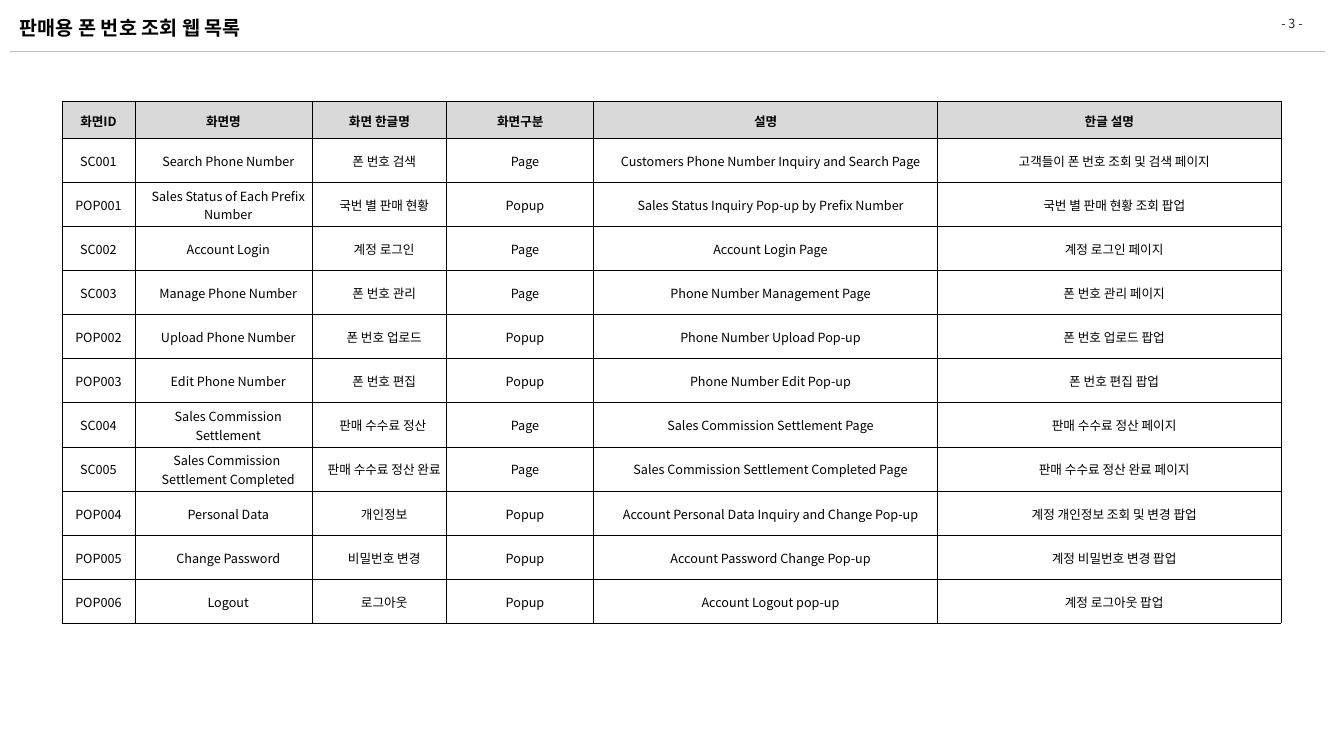
from lxml import etree
from pptx import Presentation
from pptx import util as u
from pptx.dml.color import RGBColor
from pptx.enum import shapes, text
from pptx.oxml import ns

Cm = u.Cm
FONT = "Noto Sans CJK KR"
COLORS = {
    "text": "000000",
    "page": "262626",
    "rule": "BFBFBF",
    "header": "D9D9D9",
    "border": "000000",
}
FORMATS = {
    "title": {"size": u.Pt(14), "bold": True},
    "page": {"size": u.Pt(9), "bold": False},
    "header": {"size": u.Pt(9), "bold": True},
    "body": {"size": u.Pt(9), "bold": False},
}
CELL_LAYOUT = {
    "margin_left": Cm(0.03),
    "margin_right": Cm(0.03),
    "margin_top": Cm(0.03),
    "margin_bottom": 0,
    "vertical_anchor": text.MSO_ANCHOR.MIDDLE,
}
COLUMN_WIDTHS = [1.84, 4.46, 3.4, 3.7, 8.67, 8.65]
HEADER_HEIGHT, ROW_HEIGHT = 0.93, 1.11
BODY_INDENT = Cm(0.24)

HEADINGS = ["화면ID", "화면명", "화면 한글명", "화면구분", "설명", "한글 설명"]
SCREENS = [
    ["SC001", "Search Phone Number", "폰 번호 검색", "Page",
     "Customers Phone Number Inquiry and Search Page", "고객들이 폰 번호 조회 및 검색 페이지"],
    ["POP001", "Sales Status of Each Prefix Number", "국번 별 판매 현황", "Popup",
     "Sales Status Inquiry Pop-up by Prefix Number", "국번 별 판매 현황 조회 팝업"],
    ["SC002", "Account Login", "계정 로그인", "Page",
     "Account Login Page", "계정 로그인 페이지"],
    ["SC003", "Manage Phone Number", "폰 번호 관리", "Page",
     "Phone Number Management Page", "폰 번호 관리 페이지"],
    ["POP002", "Upload Phone Number", "폰 번호 업로드", "Popup",
     "Phone Number Upload Pop-up", "폰 번호 업로드 팝업"],
    ["POP003", "Edit Phone Number", "폰 번호 편집", "Popup",
     "Phone Number Edit Pop-up", "폰 번호 편집 팝업"],
    ["SC004", "Sales Commission Settlement", "판매 수수료 정산 ", "Page",
     "Sales Commission Settlement Page", "판매 수수료 정산 페이지"],
    ["SC005", "Sales Commission \nSettlement Completed", "판매 수수료 정산 완료", "Page",
     "Sales Commission Settlement Completed Page", "판매 수수료 정산 완료 페이지"],
    ["POP004", "Personal Data", "개인정보", "Popup",
     "Account Personal Data Inquiry and Change Pop-up", "계정 개인정보 조회 및 변경 팝업"],
    ["POP005", "Change Password", "비밀번호 변경", "Popup",
     "Account Password Change Pop-up", "계정 비밀번호 변경 팝업"],
    ["POP006", "Logout", "로그아웃", "Popup",
     "Account Logout pop-up", "계정 로그아웃 팝업"],
]


def rgb(key):
    return RGBColor.from_string(COLORS[key])


def write(frame, words, style, align, color="text", indent=0):
    frame.text = words
    for paragraph in frame.paragraphs:
        paragraph.alignment = align
        if indent:
            paragraph._p.get_or_add_pPr().set("marL", str(int(indent)))
        for run in paragraph.runs:
            for attribute, value in FORMATS[style].items():
                setattr(run.font, attribute, value)
            run.font.name = FONT
            run.font.color.rgb = rgb(color)
            # Korean letters take the East Asian font
            east_asian = etree.SubElement(run.font._element, ns.qn("a:ea"))
            east_asian.set("typeface", FONT)


def add_label(slide, box, words, style, align, color="text"):
    frame = slide.shapes.add_textbox(*map(Cm, box)).text_frame
    frame.word_wrap = True
    frame.vertical_anchor = text.MSO_ANCHOR.MIDDLE
    write(frame, words, style, align, color)


def add_page_header(slide, left, top, width, height):
    # Title and page number
    add_label(slide, (left, top, 22, height), "판매용 폰 번호 조회 웹 목록",
              "title", text.PP_ALIGN.LEFT)
    add_label(slide, (left + width - 1.93, top + 0.13, 2.18, 0.71), "- 3 -",
              "page", text.PP_ALIGN.CENTER, "page")

    # Rule under the title
    bottom = Cm(top + height)
    rule = slide.shapes.add_connector(
        shapes.MSO_CONNECTOR.STRAIGHT, Cm(left), bottom, Cm(left + width), bottom)
    rule.line.color.rgb = rgb("rule")
    rule.line.width = u.Pt(0.25)
    etree.SubElement(rule._element.spPr, ns.qn("a:effectLst"))


def add_borders(cell):
    properties = cell._tc.get_or_add_tcPr()
    for side in ("lnL", "lnR", "lnT", "lnB"):
        border = etree.SubElement(properties, ns.qn(f"a:{side}"), w=str(int(u.Pt(0.5))))
        fill = etree.SubElement(border, ns.qn("a:solidFill"))
        etree.SubElement(fill, ns.qn("a:srgbClr"), val=COLORS["border"])


def add_screen_table(slide, left, top, width, height):
    rows = [HEADINGS] + SCREENS
    table = slide.shapes.add_table(
        len(rows), len(HEADINGS), Cm(left), Cm(top), Cm(width), Cm(height)).table
    table.first_row = table.horz_banding = False
    for column, column_width in zip(table.columns, COLUMN_WIDTHS):
        column.width = Cm(column_width)

    for r, row in enumerate(rows):
        is_header = r == 0
        table.rows[r].height = Cm(HEADER_HEIGHT if is_header else ROW_HEIGHT)
        for c, words in enumerate(row):
            cell = table.cell(r, c)
            for attribute, value in CELL_LAYOUT.items():
                setattr(cell, attribute, value)
            indent = 0 if is_header or c == 0 else BODY_INDENT
            write(cell.text_frame, words, "header" if is_header else "body",
                  text.PP_ALIGN.CENTER, indent=indent)
            add_borders(cell)
            if is_header:
                cell.fill.solid()
                cell.fill.fore_color.rgb = rgb("header")
            else:
                cell.fill.background()


def main():
    deck = Presentation()
    deck.slide_width, deck.slide_height = Cm(33.87), Cm(19.05)
    slide = deck.slides.add_slide(deck.slide_layouts[6])
    add_page_header(slide, 0.25, 0.1, 33.15, 1.2)
    add_screen_table(slide, 1.56, 2.56, sum(COLUMN_WIDTHS),
                     HEADER_HEIGHT + ROW_HEIGHT * len(SCREENS))
    deck.save("out.pptx")


if __name__ == "__main__":
    main()
